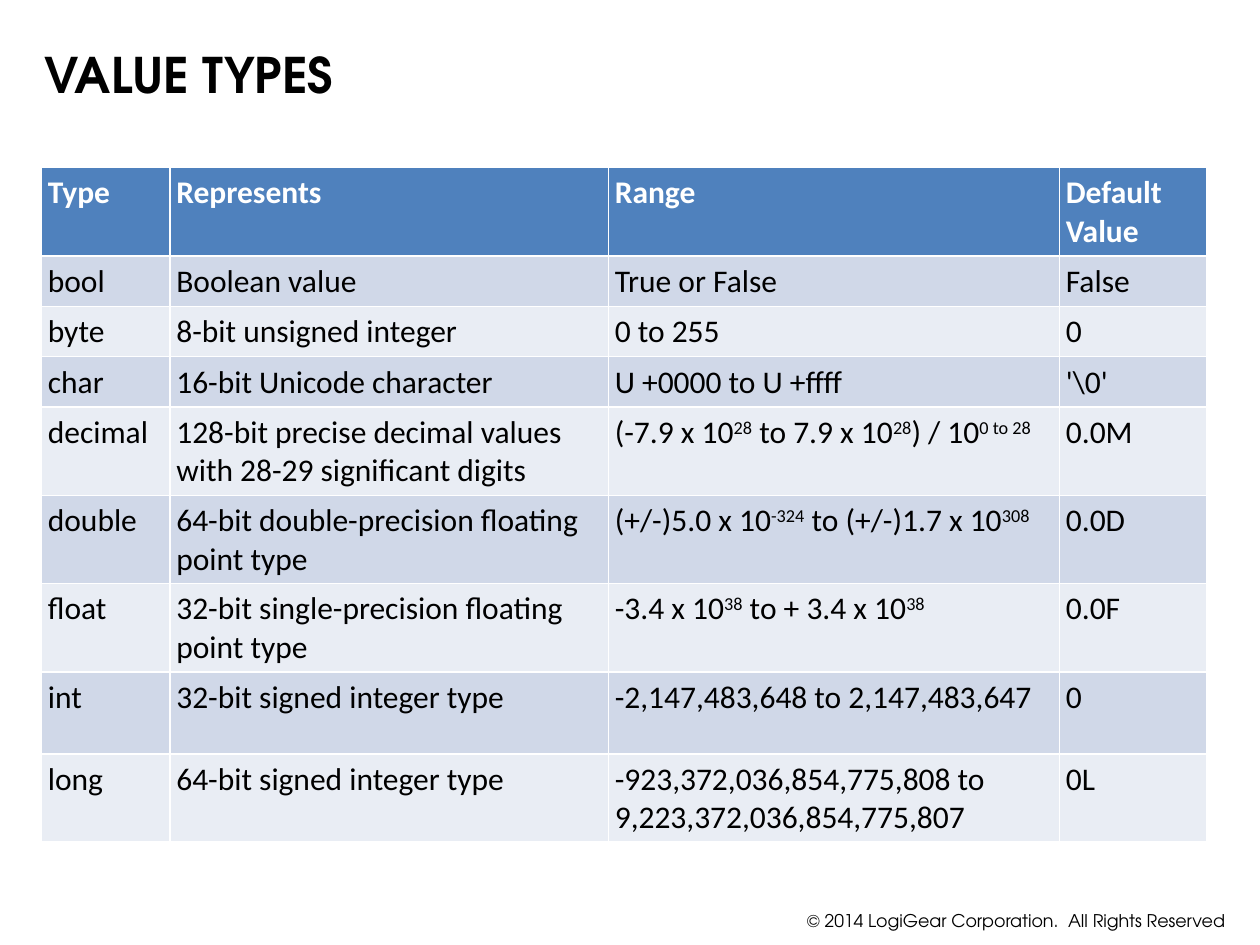
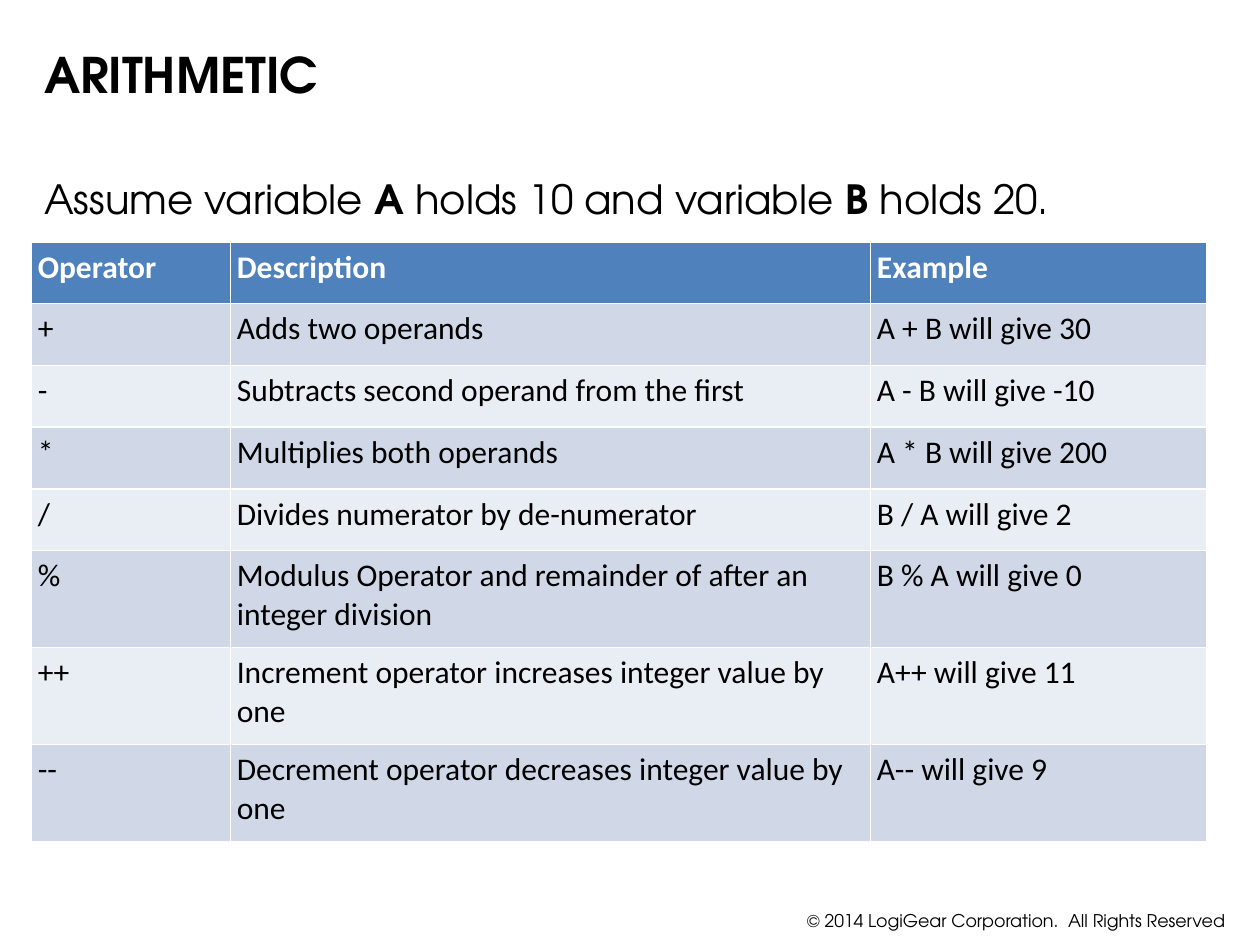
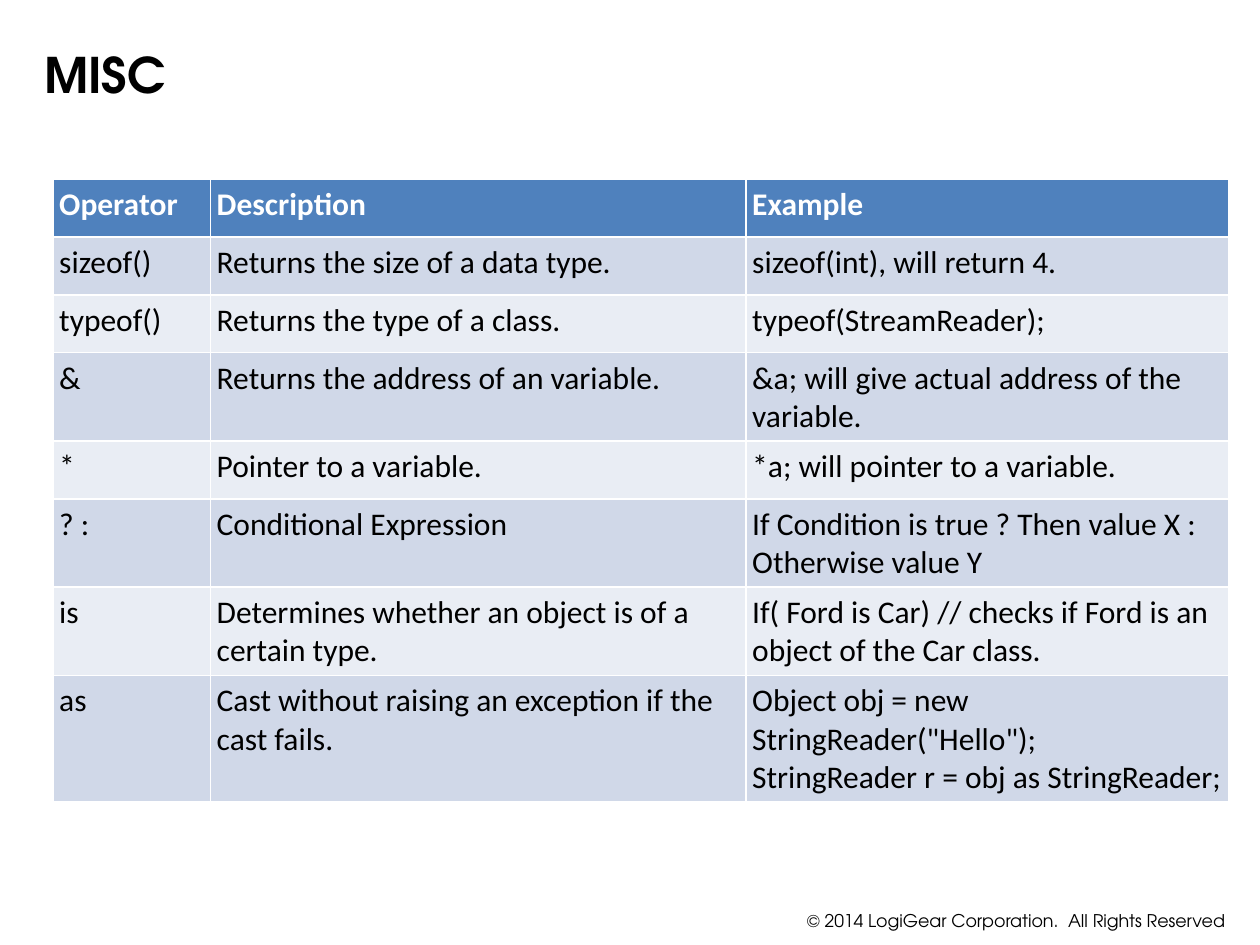
"""Build three C# reference slides: value types, arithmetic and misc operators."""
from lxml import etree
from pptx import Presentation
from pptx.dml.color import RGBColor
from pptx.enum.text import MSO_ANCHOR, MSO_AUTO_SIZE, PP_ALIGN
from pptx.oxml.ns import qn
from pptx.util import Inches, Pt

LEFT, RIGHT = PP_ALIGN.LEFT, PP_ALIGN.RIGHT
TOP, MIDDLE = MSO_ANCHOR.TOP, MSO_ANCHOR.MIDDLE
FIXED_SIZE = MSO_AUTO_SIZE.NONE

HEADING_FONT, TABLE_FONT = "TeX Gyre Adventor", "Calibri"
BLACK, WHITE, HEADER_BLUE = "000000", "FFFFFF", "4F81BD"
BANDS = ["D0D8E8", "E9EDF4"]
CELL_INSET = 0.05
CONTENT_LAYOUT, TITLE_LAYOUT = 1, 5

TITLE_AREA = (0.25, 0.25, 7.67, 0.67)
INTRO_AREA = (0.25, 1.33, 9.58, 5.37)
FOOTER_AREA = (6.25, 7.17, 3.57, 0.27)
FOOTER = "© 2014 LogiGear Corporation.  All Rights Reserved"

# Text between carets is superscript in tables and bold in the intro line.
SLIDES = [
    {
        "title": "VALUE TYPES",
        "corner": (0.33, 1.33),
        "columns": [1.02, 3.48, 3.58, 1.17],
        "row_heights": [0.62] + [0.37] * 3 + [0.65] * 5,
        "rows": [
            ("Type", "Represents", "Range", "Default\nValue"),
            ("bool", "Boolean value", "True or False", "False"),
            ("byte", "8-bit unsigned integer", "0 to 255", "0"),
            ("char", "16-bit Unicode character", "U +0000 to U +ffff", "'\\0'"),
            ("decimal", "128-bit precise decimal values with 28-29 significant digits",
             "(-7.9 x 10^28^ to 7.9 x 10^28^) / 10^0 to 28^", "0.0M"),
            ("double", "64-bit double-precision floating point type",
             "(+/-)5.0 x 10^-324^ to (+/-)1.7 x 10^308^", "0.0D"),
            ("float", "32-bit single-precision floating point type",
             "-3.4 x 10^38^ to + 3.4 x 10^38^", "0.0F"),
            ("int", "32-bit signed integer type", "-2,147,483,648 to 2,147,483,647", "0"),
            ("long", "64-bit signed integer type",
             "-923,372,036,854,775,808 to 9,223,372,036,854,775,807", "0L"),
        ],
    },
    {
        "title": "ARITHMETIC",
        "intro": "Assume variable ^A^ holds 10 and variable ^B^ holds 20.",
        "corner": (0.25, 1.92),
        "columns": [1.58, 5.08, 2.67],
        "row_heights": [0.49] * 5 + [0.77] * 3,
        "rows": [
            ("Operator", "Description", "Example"),
            ("+", "Adds two operands", "A + B will give 30"),
            ("-", "Subtracts second operand from the first", "A - B will give -10"),
            ("*", "Multiplies both operands", "A * B will give 200"),
            ("/", "Divides numerator by de-numerator", "B / A will give 2"),
            ("%", "Modulus Operator and remainder of after an integer division",
             "B % A will give 0"),
            ("++", "Increment operator increases integer value by one", "A++ will give 11"),
            ("--", "Decrement operator decreases integer value by one", "A-- will give 9"),
        ],
    },
    {
        "title": "MISC",
        "corner": (0.42, 1.42),
        "columns": [1.25, 4.25, 3.83],
        "row_heights": [0.46] * 8,
        "rows": [
            ("Operator", "Description", "Example"),
            ("sizeof()", "Returns the size of a data type.", "sizeof(int), will return 4."),
            ("typeof()", "Returns the type of a class.", "typeof(StreamReader);"),
            ("&", "Returns the address of an variable.",
             "&a; will give actual address of the variable."),
            ("*", "Pointer to a variable.", "*a; will pointer to a variable."),
            ("? :", "Conditional Expression",
             "If Condition is true ? Then value X : Otherwise value Y"),
            ("is", "Determines whether an object is of a certain type.",
             "If( Ford is Car) // checks if Ford is an object of the Car class."),
            ("as", "Cast without raising an exception if the cast fails.",
             'Object obj = new StringReader("Hello");\nStringReader r = obj as StringReader;'),
        ],
    },
]


def rgb(hex_colour):
    return RGBColor.from_string(hex_colour)


def superscript(run):
    run.font._element.set("baseline", "30000")


def embolden(run):
    run.font.bold = True


def write(paragraph, text, font_name, size, colour=BLACK, bold=False, align=LEFT, mark=None):
    font = paragraph.font
    font.name, font.size, font.bold = font_name, Pt(size), bold
    font.color.rgb = rgb(colour)
    paragraph.alignment = align
    for part_index, part in enumerate(text.split("^")):
        for line_index, line in enumerate(part.split("\n")):
            if line_index:
                paragraph.add_line_break()
            if line:
                run = paragraph.add_run()
                run.text = line
                if part_index % 2:
                    mark(run)


def place(placeholder, area, anchor):
    placeholder.left, placeholder.top, placeholder.width, placeholder.height = map(Inches, area)
    frame = placeholder.text_frame
    frame.word_wrap = True
    frame.auto_size = FIXED_SIZE
    frame.vertical_anchor = anchor
    return frame.paragraphs[0]


def add_intro(placeholder, text):
    paragraph = place(placeholder, INTRO_AREA, TOP)
    properties = paragraph._p.get_or_add_pPr()
    properties.set("marL", "0")
    properties.set("indent", "0")
    etree.SubElement(properties, qn("a:buNone"))
    paragraph.space_before = Pt(0)
    write(paragraph, text, HEADING_FONT, 23, mark=embolden)


def add_footer(slide):
    frame = slide.shapes.add_textbox(*map(Inches, FOOTER_AREA)).text_frame
    frame.word_wrap = False
    write(frame.paragraphs[0], FOOTER, HEADING_FONT, 10, align=RIGHT)


def add_reference_table(slide, content):
    rows, widths, heights = content["rows"], content["columns"], content["row_heights"]
    size = (sum(widths), sum(heights))
    table = slide.shapes.add_table(
        len(rows), len(widths), *map(Inches, content["corner"] + size)).table
    for column, width in zip(table.columns, widths):
        column.width = Inches(width)
    for row_index, (row, height, texts) in enumerate(zip(table.rows, heights, rows)):
        row.height = Inches(height)
        is_header = row_index == 0
        fill = HEADER_BLUE if is_header else BANDS[(row_index - 1) % 2]
        for cell, text in zip(row.cells, texts):
            cell.fill.solid()
            cell.fill.fore_color.rgb = rgb(fill)
            cell.margin_left = cell.margin_right = Inches(CELL_INSET)
            cell.margin_top = cell.margin_bottom = Inches(CELL_INSET)
            write(cell.text_frame.paragraphs[0], text, TABLE_FONT, 18,
                  WHITE if is_header else BLACK, bold=is_header, mark=superscript)


def main():
    deck = Presentation()
    deck.slide_width, deck.slide_height = Inches(10), Inches(7.5)
    for content in SLIDES:
        layout = CONTENT_LAYOUT if "intro" in content else TITLE_LAYOUT
        slide = deck.slides.add_slide(deck.slide_layouts[layout])
        add_footer(slide)
        title = place(slide.shapes.title, TITLE_AREA, MIDDLE)
        write(title, content["title"], HEADING_FONT, 28, bold=True)
        if "intro" in content:
            add_intro(slide.placeholders[1], content["intro"])
        add_reference_table(slide, content)
    deck.save("out.pptx")


if __name__ == "__main__":
    main()
